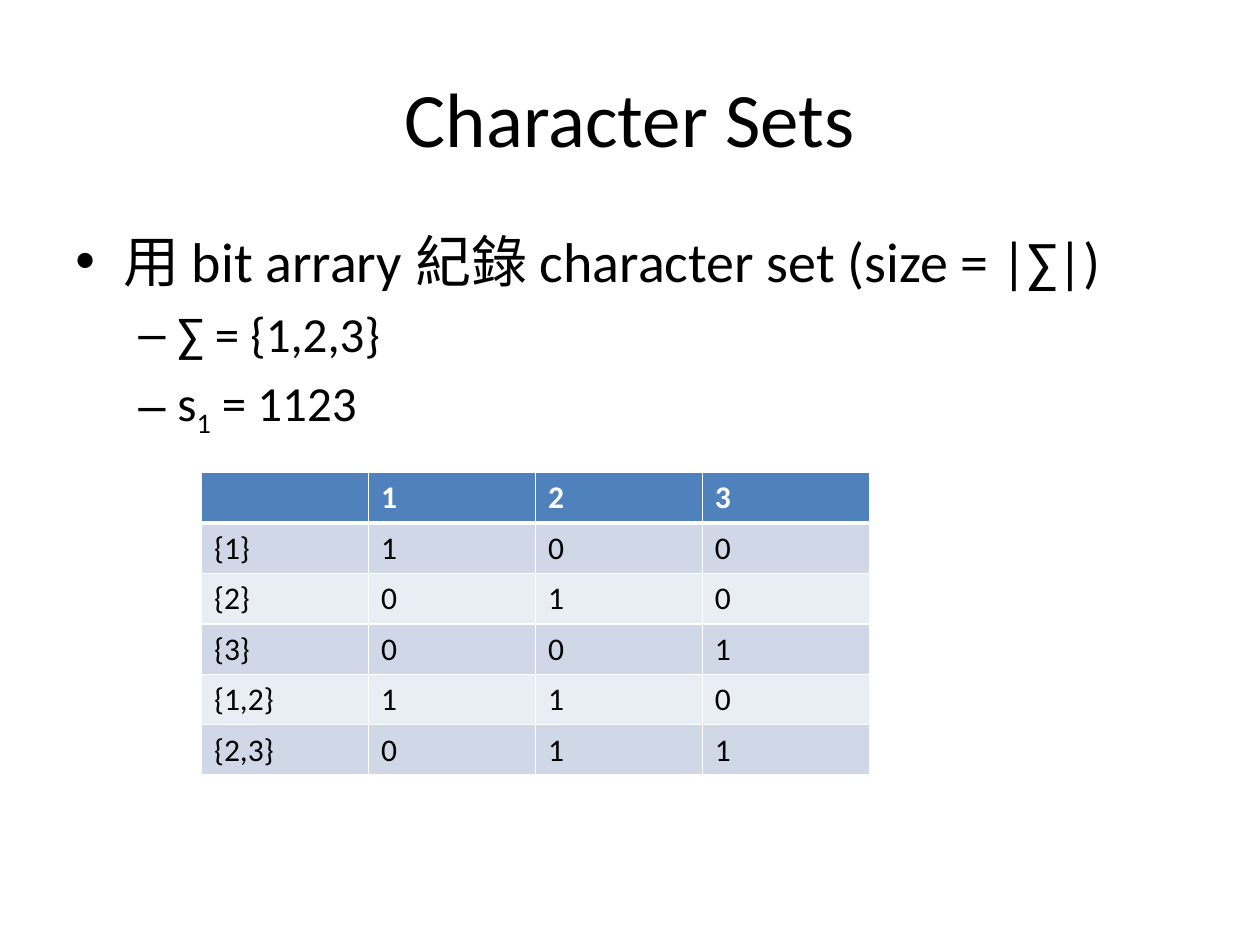
from lxml.etree import SubElement
from pptx import Presentation
from pptx.dml.color import RGBColor as RGB
from pptx.enum.text import MSO_ANCHOR as Anchor, PP_ALIGN as Align
from pptx.oxml.ns import qn
from pptx.util import Inches, Pt

COLORS = {"text": "000000", "light": "FFFFFF", "header": "4F81BD",
          "odd": "D0D8E8", "even": "E9EDF4"}
FONT = "Calibri"
WIDTH, HEIGHT = Inches(10), Inches(7.5)

# Bullet levels: text indent, hanging indent, size
LEVELS = [{"char": "•", "left": 0.38, "hang": 0.38, "size": 32},
          {"char": "–", "left": 0.81, "hang": 0.31, "size": 28}]
# Each bullet: level and runs of (text, is subscript)
BULLETS = [(0, [("用 bit arrary 紀錄 character set (size = |∑|)", False)]),
           (1, [("∑ = {1,2,3}", False)]),
           (1, [("s", False), ("1", True), (" = 1123", False)])]
ROWS = [["", "1", "2", "3"],
        ["{1}", "1", "0", "0"],
        ["{2}", "0", "1", "0"],
        ["{3}", "0", "0", "1"],
        ["{1,2}", "1", "1", "0"],
        ["{2,3}", "0", "1", "1"]]


def share(left, top, width, height):
    """Turn shares of the slide's size into a box of lengths."""
    return (int(WIDTH * left), int(HEIGHT * top),
            int(WIDTH * width), int(HEIGHT * height))


def add_run(p, text, size, color="text", bold=False):
    r = p.add_run()
    r.text = text
    style = {"name": FONT, "size": Pt(size), "bold": bold}
    for key, value in style.items():
        setattr(r.font, key, value)
    r.font.color.rgb = RGB.from_string(COLORS[color])
    return r


def add_text_frame(s, box, anchor):
    tf = s.shapes.add_textbox(*box).text_frame
    tf.word_wrap = True
    tf.vertical_anchor = anchor
    return tf


def add_title(s, box, text):
    p = add_text_frame(s, box, Anchor.MIDDLE).paragraphs[0]
    p.alignment = Align.CENTER
    add_run(p, text, 44)


def add_bullets(s, box, bullets):
    tf = add_text_frame(s, box, Anchor.TOP)
    for i, (depth, runs) in enumerate(bullets):
        level = LEVELS[depth]
        p = tf.add_paragraph() if i else tf.paragraphs[0]
        p.level = depth
        pPr = p._p.get_or_add_pPr()
        pPr.set("marL", str(Inches(level["left"])))
        pPr.set("indent", str(-Inches(level["hang"])))
        SubElement(pPr, qn("a:buFont"), typeface="Arial")
        SubElement(pPr, qn("a:buChar"), char=level["char"])
        if i:
            p.space_before = Pt(level["size"] * 0.2)
        for text, subscript in runs:
            r = add_run(p, text, level["size"])
            if subscript:
                r.font._element.set("baseline", "-25000")


def set_borders(cell, widths):
    tcPr = cell._tc.get_or_add_tcPr()
    for side, width in widths.items():
        ln = SubElement(tcPr, qn(f"a:ln{side}"), w=str(Pt(width)))
        fill = SubElement(ln, qn("a:solidFill"))
        SubElement(fill, qn("a:srgbClr"), val=COLORS["light"])


def add_bit_table(s, box, rows):
    table = s.shapes.add_table(len(rows), len(rows[0]), *box).table
    for i, row in enumerate(rows):
        header = i == 0
        fill = "header" if header else ("even", "odd")[i % 2]
        # A thick rule parts the header from the body
        widths = {"L": 1, "R": 1, "T": 3 if i == 1 else 1,
                  "B": 3 if header else 1}
        for j, text in enumerate(row):
            cell = table.cell(i, j)
            set_borders(cell, widths)
            cell.fill.solid()
            cell.fill.fore_color.rgb = RGB.from_string(COLORS[fill])
            if text:
                add_run(cell.text_frame.paragraphs[0], text, 18,
                        "light" if header else "text", header)


def main():
    prs = Presentation()
    prs.slide_width, prs.slide_height = WIDTH, HEIGHT
    s = prs.slides.add_slide(prs.slide_layouts[6])
    add_title(s, share(0.05, 0.04, 0.9, 1 / 6), "Character Sets")
    add_bullets(s, share(0.05, 7 / 30, 0.9, 0.66), BULLETS)
    add_bit_table(s, share(0.16, 0.5, 0.53, 0.32), ROWS)
    prs.save("out.pptx")


if __name__ == "__main__":
    main()
